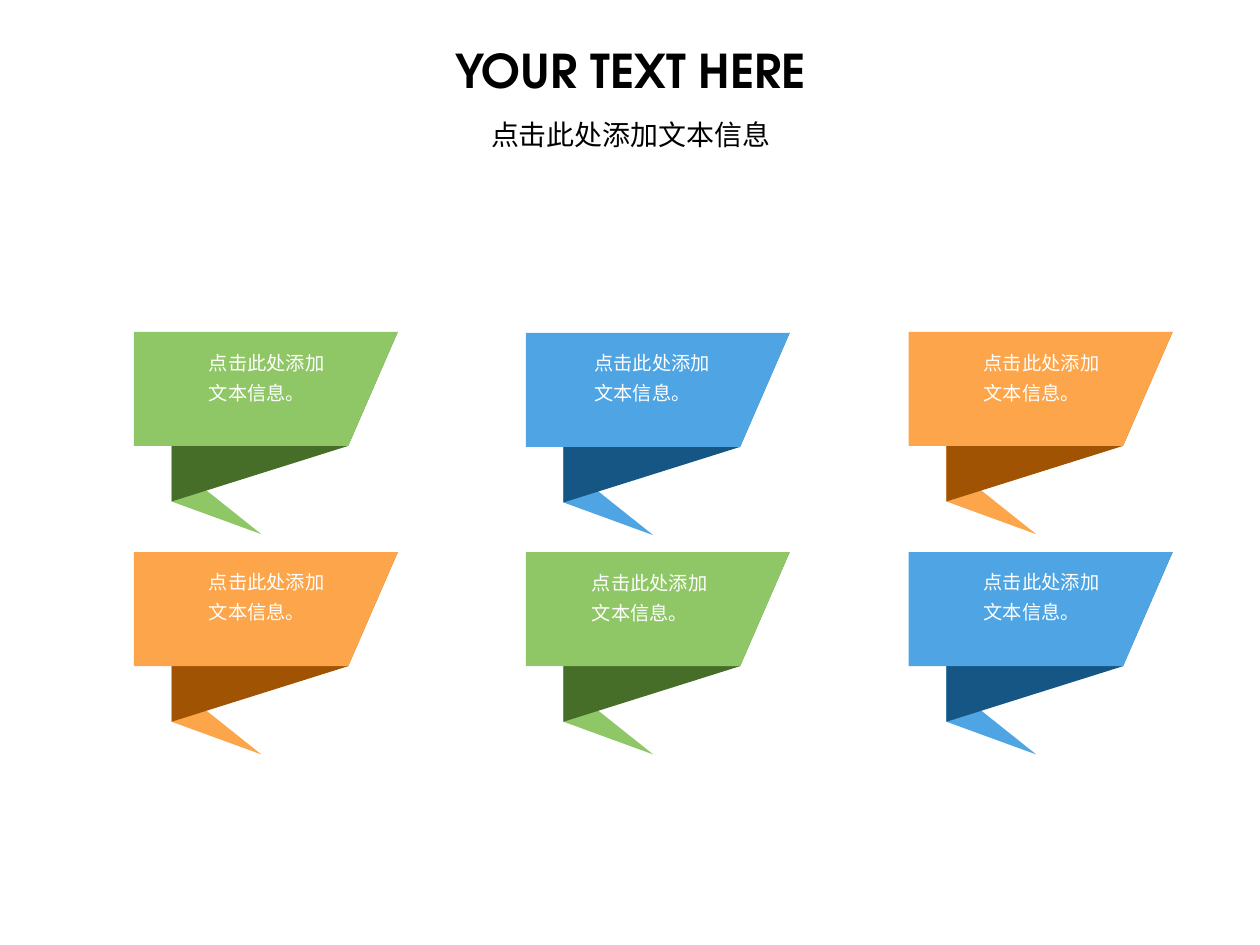
import pptx
import pptx.dml.color
import pptx.enum.text
import pptx.oxml.ns
import pptx.util
from lxml import etree

Cm = pptx.util.Cm
Pt = pptx.util.Pt
PP_ALIGN = pptx.enum.text.PP_ALIGN
MSO_ANCHOR = pptx.enum.text.MSO_ANCHOR
MSO_AUTO_SIZE = pptx.enum.text.MSO_AUTO_SIZE

COLORS = {
    "black": "000000", "white": "FFFFFF",
    "green": "8FC767", "green_dark": "466E29",
    "blue": "4FA5E3", "blue_dark": "155684",
    "orange": "FCA54A", "orange_dark": "A05303",
}
HEAD_FONT = "TeX Gyre Adventor"
CJK_FONT = "Noto Sans CJK SC"

# Ribbon outlines in cm from the banner's top left corner
TAIL = [(0.76, 3.42), (2.57, 4.08), (1.14, 2.94), (0.76, 1.71)]
FOLD = [(0.76, 3.42), (4.32, 2.3), (5.32, 0), (0.76, 1.71)]
FRONT = [(0, 2.3), (4.32, 2.3), (5.32, 0), (0, 0)]

# Colour, banner left and top, text left and top (cm)
BANNERS = [
    ("green", 2.7, 6.69, 3.96, 6.81),
    ("blue", 10.6, 6.71, 11.73, 6.81),
    ("orange", 18.32, 6.69, 19.58, 6.81),
    ("orange", 2.7, 11.13, 3.96, 11.23),
    ("green", 10.6, 11.13, 11.68, 11.25),
    ("blue", 18.32, 11.13, 19.58, 11.23),
]


def rgb(name):
    return pptx.dml.color.RGBColor.from_string(COLORS[name])


def add_text(shapes, text, box, size, color, font, spacing, bold=False):
    """Add a one-paragraph text box and return its text frame."""
    sp = shapes.add_textbox(*(Cm(v) for v in box))
    tf = sp.text_frame
    tf.word_wrap = True
    tf.text = text
    p = tf.paragraphs[0]
    p.line_spacing = spacing
    r = p.runs[0]
    r.font.size = Pt(size)
    r.font.bold = bold
    r.font.color.rgb = rgb(color)
    r.font.name = font
    ea = etree.SubElement(r._r.get_or_add_rPr(), pptx.oxml.ns.qn("a:ea"))
    ea.set("typeface", CJK_FONT)
    return tf


def add_heading(shapes, text, top, height, size, bold=False):
    tf = add_text(shapes, text, (7.85, top, 9.73, height), size, "black",
                  HEAD_FONT, 0.9, bold)
    tf.vertical_anchor = MSO_ANCHOR.MIDDLE
    tf.paragraphs[0].alignment = PP_ALIGN.CENTER


def add_polygon(shapes, points, left, top, color):
    corners = [(Cm(left + x), Cm(top + y)) for x, y in points]
    fb = shapes.build_freeform(*corners[0])
    fb.add_line_segments(corners[1:], close=True)
    sp = fb.convert_to_shape()
    sp.shadow.inherit = False
    sp.fill.solid()
    sp.fill.fore_color.rgb = rgb(color)
    sp.line.fill.background()


def add_banner(s, color, left, top, text_left, text_top):
    """Add a folded ribbon with its label as one group."""
    shapes = s.shapes.add_group_shape().shapes
    add_polygon(shapes, TAIL, left, top, color)
    add_polygon(shapes, FOLD, left, top, color + "_dark")
    add_polygon(shapes, FRONT, left, top, color)
    tf = add_text(shapes, "点击此处添加文本信息。",
                  (text_left, text_top, 3.12, 1.47), 11, "white",
                  CJK_FONT, 1.3)
    tf.auto_size = MSO_AUTO_SIZE.SHAPE_TO_FIT_TEXT


def main():
    prs = pptx.Presentation()
    prs.slide_width, prs.slide_height = Cm(25.4), Cm(19.05)
    s = prs.slides.add_slide(prs.slide_layouts[6])

    # Title and subtitle
    add_heading(s.shapes, "YOUR TEXT HERE", 0.61, 1.73, 26.6, bold=True)
    add_heading(s.shapes, "点击此处添加文本信息", 2.16, 1.17, 16)

    # Two rows of ribbons
    for banner in BANNERS:
        add_banner(s, *banner)

    prs.save("out.pptx")


if __name__ == "__main__":
    main()
